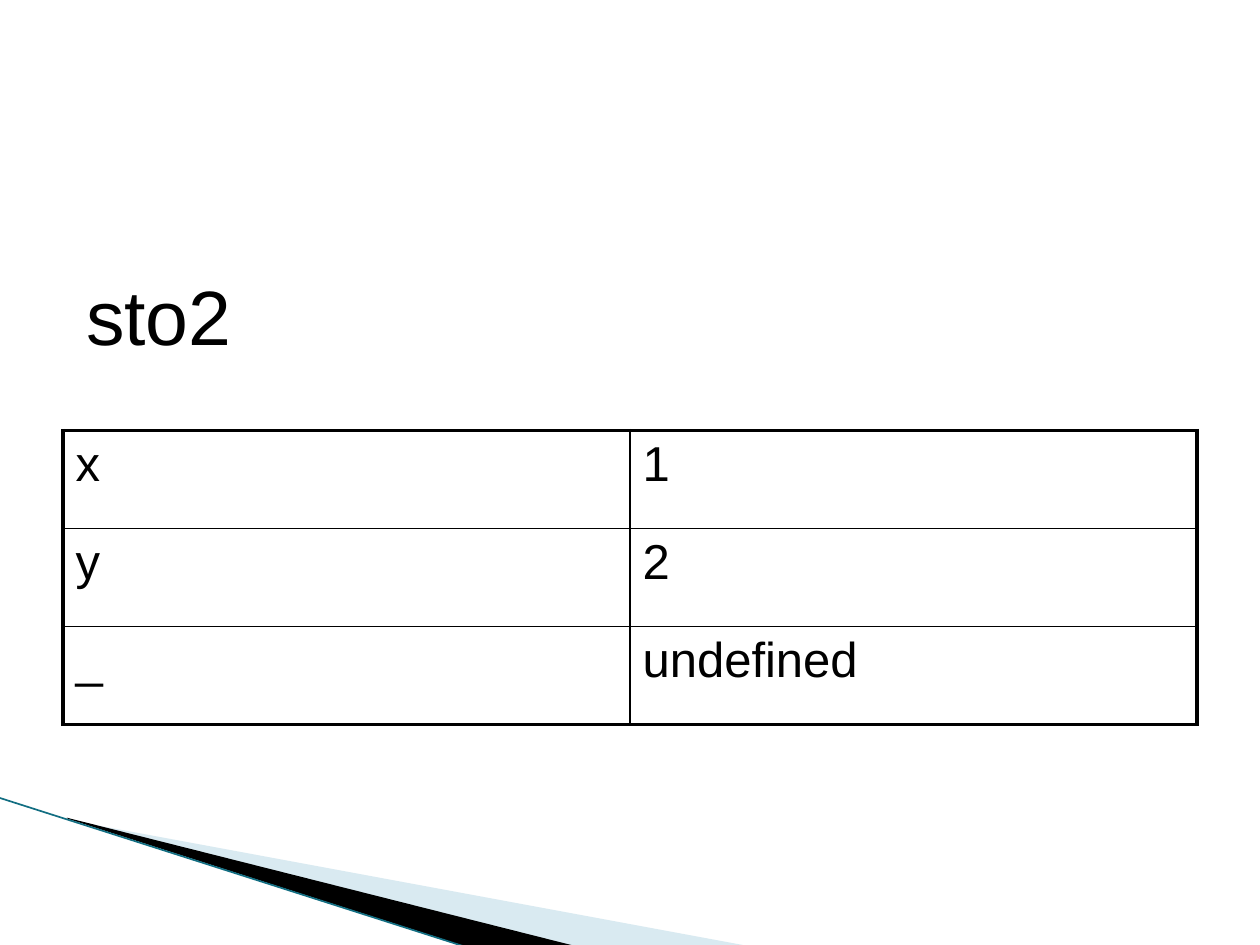
import pptx
import pptx.dml.color
import pptx.enum.shapes
import pptx.enum.text
import pptx.oxml
import pptx.oxml.ns
import pptx.util

Pt = pptx.util.Pt
RGBColor = pptx.dml.color.RGBColor

BLACK = RGBColor(0x00, 0x00, 0x00)
PALE_BLUE = RGBColor(0xA0, 0xCB, 0xDC)
TEAL = RGBColor(0x12, 0x6E, 0x82)
FONT = "Arial"
TITLE_ONLY = 5
THICK, THIN = 2.25, 1

STORE = [("x", "1"), ("y", "2"), ("_", "undefined")]
LIGHT_WEDGE = [(39.6, 468.7), (428.4, 540.7), (328.3, 540.7), (39.6, 468)]
DARK_WEDGE = [(38.2, 467.3), (329, 540.7), (267.8, 541.4), (38.9, 468)]


def add_text(para, text, size):
    span = para.add_run()
    span.text = text
    span.font.name = FONT
    span.font.size = Pt(size)
    span.font.color.rgb = BLACK


def add_wedge(page, corners, color, opacity=None):
    """Draw a borderless polygon; opacity is a percentage."""
    points = [(Pt(x), Pt(y)) for x, y in corners]
    builder = page.shapes.build_freeform(*points[0])
    builder.add_line_segments(points[1:], close=True)
    wedge = builder.convert_to_shape()
    wedge.shadow.inherit = False
    wedge.line.fill.background()
    wedge.fill.solid()
    wedge.fill.fore_color.rgb = color
    if opacity is not None:
        color_element = wedge.fill._xPr.find(".//" + pptx.oxml.ns.qn("a:srgbClr"))
        alpha = pptx.oxml.parse_xml(
            f'<a:alpha {pptx.oxml.ns.nsdecls("a")} val="{opacity * 1000}"/>')
        color_element.append(alpha)


def add_edge_line(page, start, end):
    edge = page.shapes.add_connector(
        pptx.enum.shapes.MSO_CONNECTOR.STRAIGHT, *map(Pt, start + end))
    edge.line.color.rgb = TEAL
    edge.line.width = Pt(0.95)
    edge._element.spPr.append(
        pptx.oxml.parse_xml(f'<a:effectLst {pptx.oxml.ns.nsdecls("a")}/>'))


def set_borders(cell, widths):
    """Set left, right, top and bottom border widths, in that order."""
    properties = cell._tc.get_or_add_tcPr()
    for side, width in zip("LRTB", widths):
        properties.append(pptx.oxml.parse_xml(
            f'<a:ln{side} {pptx.oxml.ns.nsdecls("a")} w="{Pt(width)}">'
            f'<a:solidFill><a:srgbClr val="{BLACK}"/></a:solidFill></a:ln{side}>'))


def add_store_table(page, rows):
    row_count, column_count = len(rows), len(rows[0])
    frame = page.shapes.add_table(
        row_count, column_count, Pt(36), Pt(246), Pt(648), Pt(168))
    table = frame.table
    table.first_row = table.horz_banding = False
    for r, values in enumerate(rows):
        for c, value in enumerate(values):
            cell = table.cell(r, c)
            on_outside = (c == 0, c == column_count - 1, r == 0, r == row_count - 1)
            set_borders(cell, [THICK if outer else THIN for outer in on_outside])
            cell.fill.background()
            add_text(cell.text_frame.paragraphs[0], value, 28)


def set_title(page, text):
    title = page.shapes.title
    title.left, title.top, title.width, title.height = map(Pt, (42, 150, 98, 60))
    frame = title.text_frame
    frame.word_wrap = False
    frame.auto_size = pptx.enum.text.MSO_AUTO_SIZE.NONE
    frame.vertical_anchor = pptx.enum.text.MSO_ANCHOR.TOP
    para = frame.paragraphs[0]
    para.alignment = pptx.enum.text.PP_ALIGN.LEFT
    add_text(para, text, 44)


def main():
    deck = pptx.Presentation()
    deck.slide_width, deck.slide_height = Pt(720), Pt(540)
    page = deck.slides.add_slide(deck.slide_layouts[TITLE_ONLY])
    add_wedge(page, LIGHT_WEDGE, PALE_BLUE, opacity=40)
    add_wedge(page, DARK_WEDGE, BLACK)
    add_edge_line(page, (-0.7, 455.8), (267.1, 541.4))
    add_store_table(page, STORE)
    set_title(page, "sto2")
    deck.save("out.pptx")


if __name__ == "__main__":
    main()
